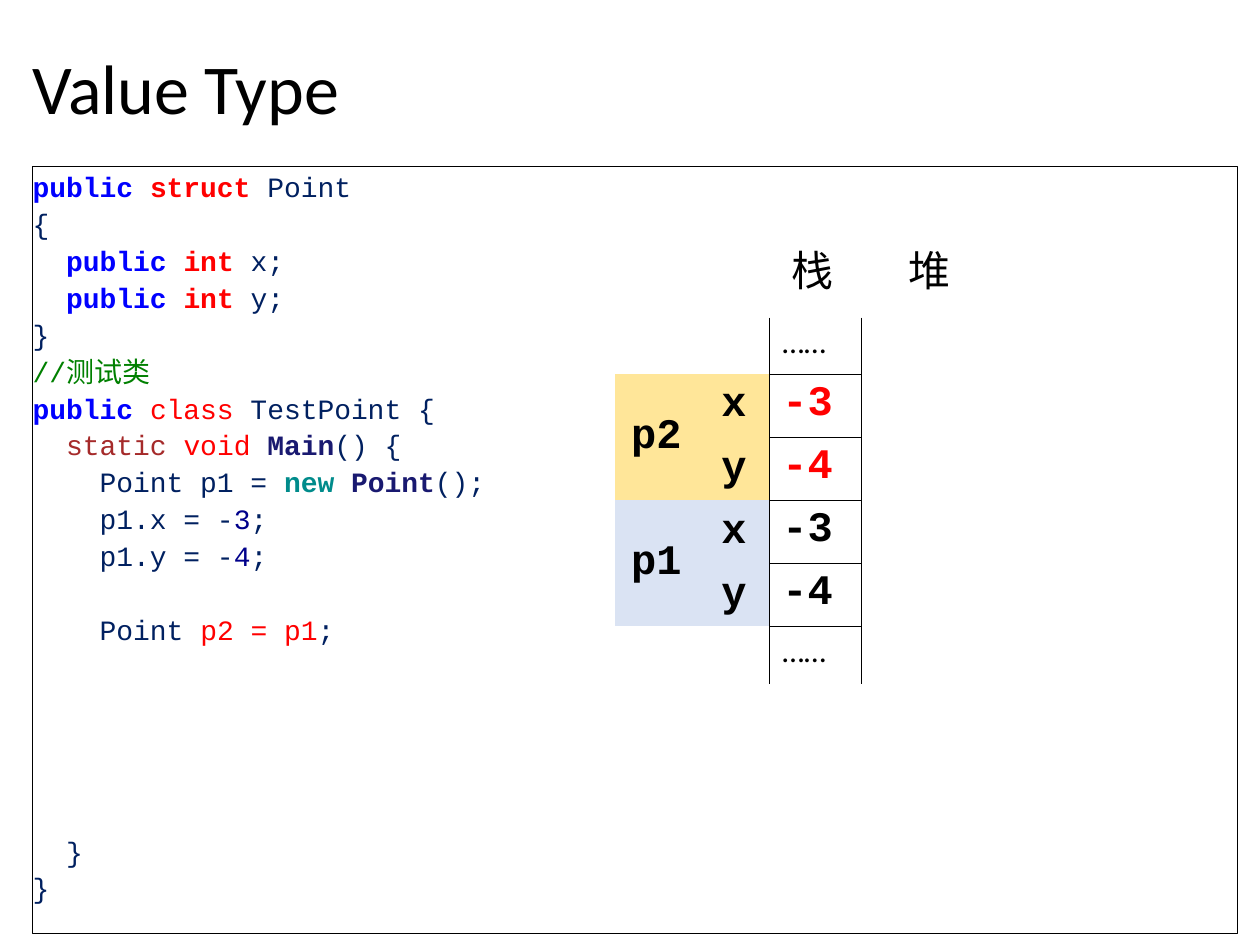
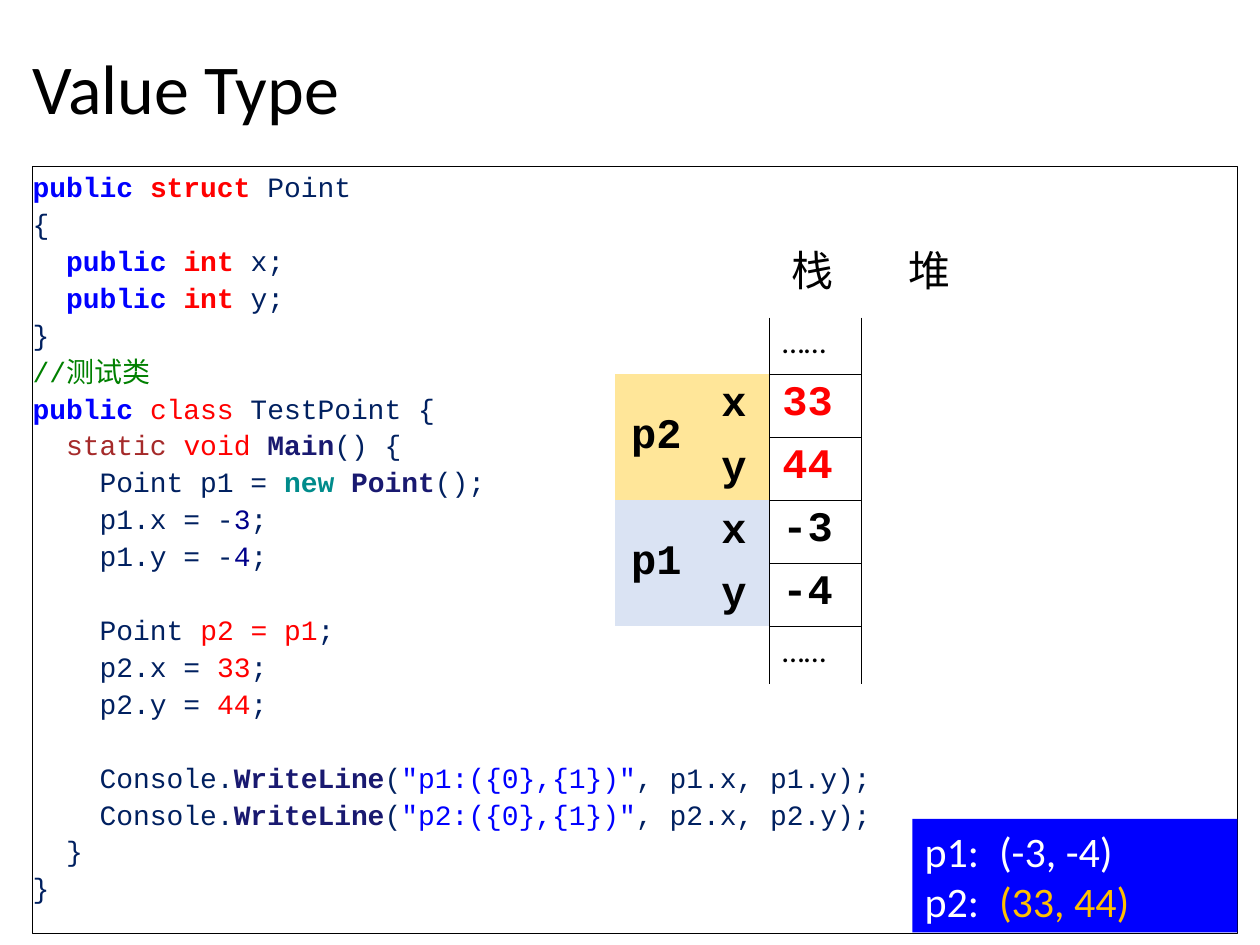
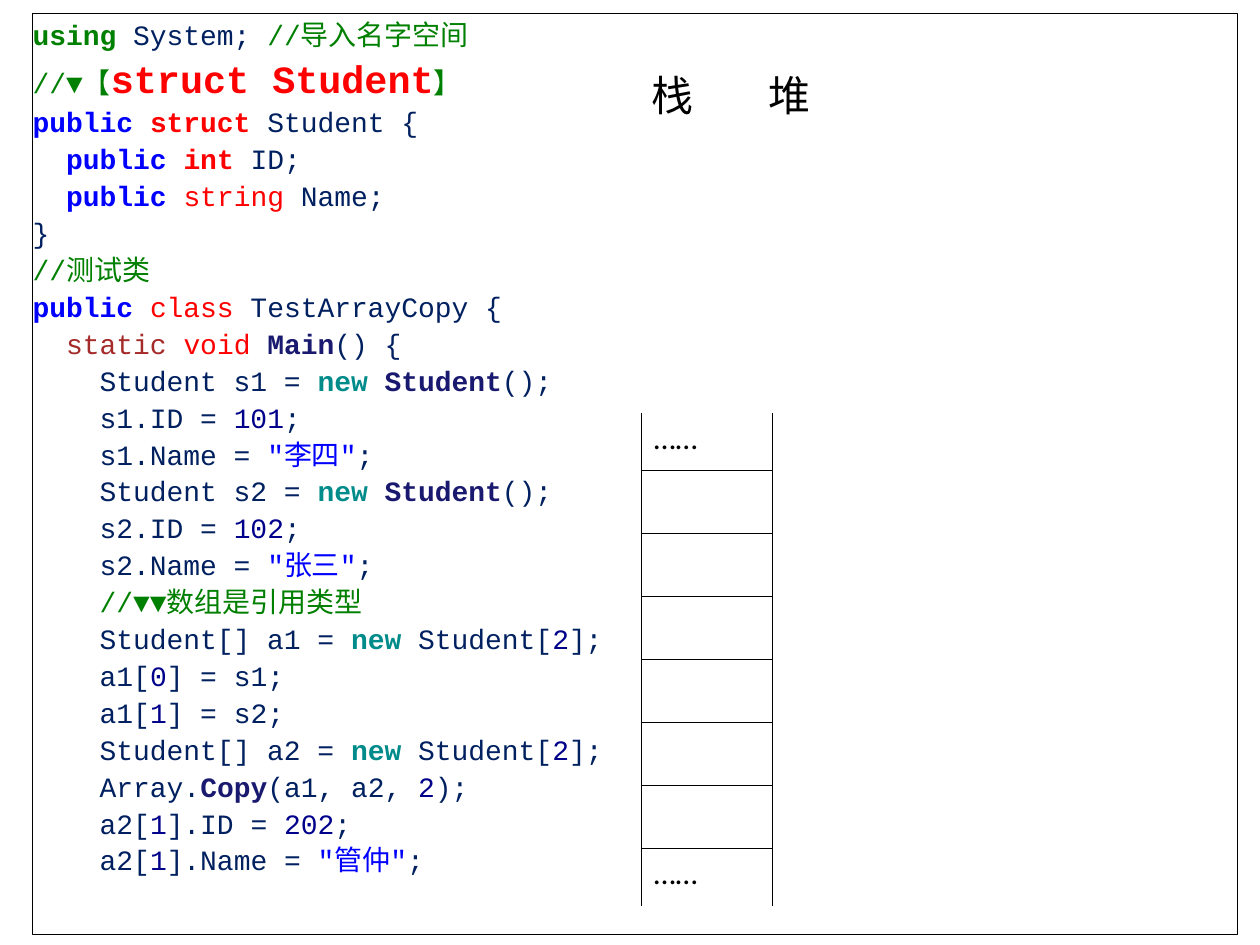
from dataclasses import dataclass
from lxml.etree import SubElement
from pptx import Presentation
from pptx.dml.color import RGBColor
from pptx.enum.shapes import MSO_SHAPE
from pptx.enum.text import MSO_ANCHOR, PP_ALIGN
from pptx.oxml.ns import qn
from pptx.util import Inches, Pt


@dataclass(frozen=True)
class Theme:
    black: str = "000000"
    white: str = "FFFFFF"
    red: str = "FF0000"
    blue: str = "0000FF"
    gold: str = "FFC000"
    copy_band: str = "FFE699"
    source_band: str = "DAE3F3"
    plain_code: str = "002060"
    text_font: str = "Calibri"
    code_font: str = "Courier New"
    chinese_font: str = "Noto Sans CJK SC"
    title_size: int = 40
    large_size: int = 24
    banner_size: int = 22
    dots_size: int = 18
    code_size: int = 16
    code_spacing: float = 1.1
    code_pitch: float = 21.1
    outline: float = 0.75
    grid_line: float = 0.45


THEME = Theme()
HARD_SPACE = chr(160)

CODE_STYLES = {
    "K": (THEME.blue, True),
    "T": (THEME.red, True),
    "R": (THEME.red, False),
    "C": ("008000", False),
    "U": ("008000", True),
    "S": ("A52A2A", False),
    "M": ("191970", True),
    "N": ("008B8B", True),
    "D": ("00008B", False),
    "Q": (THEME.blue, False),
    "B": (THEME.red, True),
}

POINT_CODE = """|Kpublic ||Tstruct| Point
{
  |Kpublic ||Tint| x;
  |Kpublic ||Tint| y;
}
|C//测试类|
|Kpublic ||Rclass| TestPoint {
  |Sstatic ||Rvoid ||MMain|() {
    Point p1 = |Nnew ||MPoint|();
    p1.x = -|D3|;
    p1.y = -|D4|;

    Point |Rp2 = p1|;"""

POINT_CHANGES = """
    p2.x = |R33|;
    p2.y = |R44|;

    Console.|MWriteLine|(|Q"p1:({0},{1})"|, p1.x, p1.y);
    Console.|MWriteLine|(|Q"p2:({0},{1})"|, p2.x, p2.y);
"""

CLOSING = """  }
}"""

STUDENT_CODE = """|Uusing| System; |C//导入名字空间
//▼【||Bstruct Student||C】|
|Kpublic ||Tstruct| Student {
  |Kpublic ||Tint| ID;
  |Kpublic ||Rstring| Name;
}
|C//测试类|
|Kpublic ||Rclass| TestArrayCopy {
  |Sstatic ||Rvoid ||MMain|() {
    Student s1 = |Nnew ||MStudent|();
    s1.ID = |D101|;
    s1.Name = |Q"李四"|;
    Student s2 = |Nnew ||MStudent|();
    s2.ID = |D102|;
    s2.Name = |Q"张三"|;
    |C//▼▼数组是引用类型
    |Student[] a1 = |Nnew| Student[|D2|];
    a1[|D0|] = s1;
    a1[|D1|] = s2;
    Student[] a2 = |Nnew| Student[|D2|];
    Array.|MCopy|(a1, a2, |D2|);
    a2[|D1|].ID = |D202|;
    a2[|D1|].Name = |Q"管仲"|;"""


def style_span(span, size, color, font, bold=False):
    span.font.size = Pt(size)
    span.font.bold = bold
    span.font.name = font
    span.font.color.rgb = RGBColor.from_string(color)
    SubElement(span.font._element, qn("a:ea")).set("typeface", font)


def add_span(para, text, size, color, font, bold=False):
    span = para.add_run()
    span.text = text
    style_span(span, size, color, font, bold)


def add_tab_stop(para, position):
    stops = SubElement(para._p.get_or_add_pPr(), qn("a:tabLst"))
    stop = SubElement(stops, qn("a:tab"))
    stop.set("pos", str(Inches(position)))
    stop.set("algn", "l")


def add_text_box(slide, left, top, width, height):
    box = slide.shapes.add_textbox(Inches(left), Inches(top), Inches(width), Inches(height))
    box.text_frame.word_wrap = True
    return box


def add_rectangle(slide, left, top, width, height):
    box = slide.shapes.add_shape(
        MSO_SHAPE.RECTANGLE, Inches(left), Inches(top), Inches(width), Inches(height))
    box.shadow.inherit = False
    box.text_frame.word_wrap = True
    box.text_frame.vertical_anchor = MSO_ANCHOR.TOP
    return box


def add_title(slide, text):
    frame = add_text_box(slide, 0.16, 0.13, 9.74, 1.2).text_frame
    frame.vertical_anchor = MSO_ANCHOR.MIDDLE
    para = frame.paragraphs[0]
    para.line_spacing = 0.9
    add_span(para, text, THEME.title_size, THEME.black, THEME.text_font)


def keep_indent(line):
    code = line.lstrip(" ")
    return HARD_SPACE * (len(line) - len(code)) + code


def write_code(para, code):
    para.alignment = PP_ALIGN.LEFT
    para.line_spacing = THEME.code_spacing
    for index, segment in enumerate(code.split("|")):
        color, bold, size = THEME.plain_code, False, THEME.code_size
        if index % 2:
            color, bold = CODE_STYLES[segment[0]]
            size = THEME.banner_size if segment[0] == "B" else size
            segment = segment[1:]
        for number, line in enumerate(segment.split("\n")):
            if number:
                para.add_line_break()
            if line:
                add_span(para, keep_indent(line), size, color, THEME.code_font, bold)


def add_code_panel(slide, top, height, blocks, gap_lines=0):
    box = add_rectangle(slide, 0.26, top, 9.56, height)
    box.fill.background()
    box.line.color.rgb = RGBColor.from_string(THEME.black)
    box.line.width = Pt(THEME.outline)
    frame = box.text_frame
    frame.margin_left = frame.margin_right = frame.margin_top = frame.margin_bottom = 0
    for number, block in enumerate(blocks):
        para = frame.add_paragraph() if number else frame.paragraphs[0]
        write_code(para, block)
        if number:
            para.space_before = Pt(gap_lines * THEME.code_pitch)
    for line_break in frame._txBody.iter(qn("a:br")):
        SubElement(line_break, qn("a:rPr")).set("sz", str(THEME.code_size * 100))
        SubElement(line_break[0], qn("a:latin")).set("typeface", THEME.code_font)


def add_memory_heading(slide, left, top):
    para = add_text_box(slide, left, top, 3.03, 0.5).text_frame.paragraphs[0]
    add_tab_stop(para, 0.93)
    add_span(para, "栈\t堆", THEME.large_size, THEME.black, THEME.chinese_font)


def set_borders(cell, visible):
    properties = cell._tc.get_or_add_tcPr()
    for index, side in enumerate("LRTB"):
        line = properties.makeelement(qn(f"a:ln{side}"), {"w": str(Pt(THEME.grid_line))})
        if side in visible:
            fill = SubElement(line, qn("a:solidFill"))
            SubElement(fill, qn("a:srgbClr")).set("val", THEME.black)
        else:
            SubElement(line, qn("a:noFill"))
        properties.insert(index, line)


def write_cell(cell, text, color=THEME.black, centered=False):
    para = cell.text_frame.paragraphs[0]
    if centered:
        para.alignment = PP_ALIGN.CENTER
        cell.vertical_anchor = MSO_ANCHOR.MIDDLE
    if text == "……":
        add_span(para, text, THEME.dots_size, color, THEME.text_font)
    else:
        add_span(para, text, THEME.large_size, color, THEME.code_font, True)


def add_stack(slide, left, top, widths, slots, merges):
    heights = [0.45] + [0.5] * slots + [0.46]
    frame = slide.shapes.add_table(
        len(heights), len(widths), Inches(left), Inches(top),
        Inches(sum(widths)), Inches(sum(heights)))
    table = frame.table
    table.first_row = table.horz_banding = False
    for column, width in zip(table.columns, widths):
        column.width = Inches(width)
    for row, height in zip(table.rows, heights):
        row.height = Inches(height)
    for start, end in merges:
        table.cell(*start).merge(table.cell(*end))
    stack, last = len(widths) - 1, len(heights) - 1
    for row in range(len(heights)):
        for column in range(len(widths)):
            cell = table.cell(row, column)
            cell.fill.background()
            if column == stack:
                visible = "LR" + ("T" if row else "") + ("B" if row < last else "")
            else:
                visible = "R" if column + cell.span_width >= stack else ""
            set_borders(cell, visible)
    for row in (0, last):
        write_cell(table.cell(row, stack), "……")
    return table


def add_point_stack(slide, copied_values):
    merges = [((0, 0), (0, 1)), ((1, 0), (2, 0)), ((3, 0), (4, 0)), ((5, 0), (5, 1))]
    table = add_stack(slide, 4.88, 2.52, [0.66, 0.57, 0.73], 4, merges)
    points = [
        ("p2", THEME.copy_band, copied_values, THEME.red),
        ("p1", THEME.source_band, ("-3", "-4"), THEME.black),
    ]
    for index, (name, band, values, color) in enumerate(points):
        first = 1 + 2 * index
        write_cell(table.cell(first, 0), name, centered=True)
        for row, field, value in zip((first, first + 1), "xy", values):
            write_cell(table.cell(row, 1), field, centered=True)
            write_cell(table.cell(row, 2), value, color)
            for column in (0, 1):
                fill = table.cell(row, column).fill
                fill.solid()
                fill.fore_color.rgb = RGBColor.from_string(band)


def add_console_output(slide, results):
    box = add_rectangle(slide, 7.24, 6.5, 2.58, 0.9)
    box.fill.solid()
    box.fill.fore_color.rgb = RGBColor.from_string(THEME.blue)
    box.line.fill.background()
    for number, (name, value, color) in enumerate(results):
        para = box.text_frame.add_paragraph() if number else box.text_frame.paragraphs[0]
        para.alignment = PP_ALIGN.LEFT
        add_tab_stop(para, 0.59)
        add_span(para, f"{name}:\t", THEME.large_size, THEME.white, THEME.text_font)
        add_span(para, value, THEME.large_size, color, THEME.text_font)


def add_point_slide(slide, blocks, copied_values, gap_lines=0):
    add_title(slide, "Value Type")
    add_code_panel(slide, 1.32, 6.09, blocks, gap_lines)
    add_memory_heading(slide, 6.18, 1.89)
    add_point_stack(slide, copied_values)


def add_student_slide(slide):
    add_code_panel(slide, 0.11, 7.31, [STUDENT_CODE])
    add_memory_heading(slide, 5.07, 0.5)
    merges = [((3, 0), (4, 0)), ((5, 0), (6, 0))]
    add_stack(slide, 4.33, 3.28, [0.76, 1.04], 6, merges)


def main():
    deck = Presentation()
    deck.slide_width, deck.slide_height = Inches(10), Inches(7.5)
    blank = deck.slide_layouts[6]
    add_point_slide(deck.slides.add_slide(blank), [POINT_CODE, CLOSING], ("-3", "-4"), 5)
    changed = deck.slides.add_slide(blank)
    add_point_slide(changed, [POINT_CODE + POINT_CHANGES + CLOSING], ("33", "44"))
    add_console_output(changed, [
        ("p1", "(-3, -4)", THEME.white),
        ("p2", "(33, 44)", THEME.gold),
    ])
    add_student_slide(deck.slides.add_slide(blank))
    deck.save("out.pptx")


if __name__ == "__main__":
    main()
